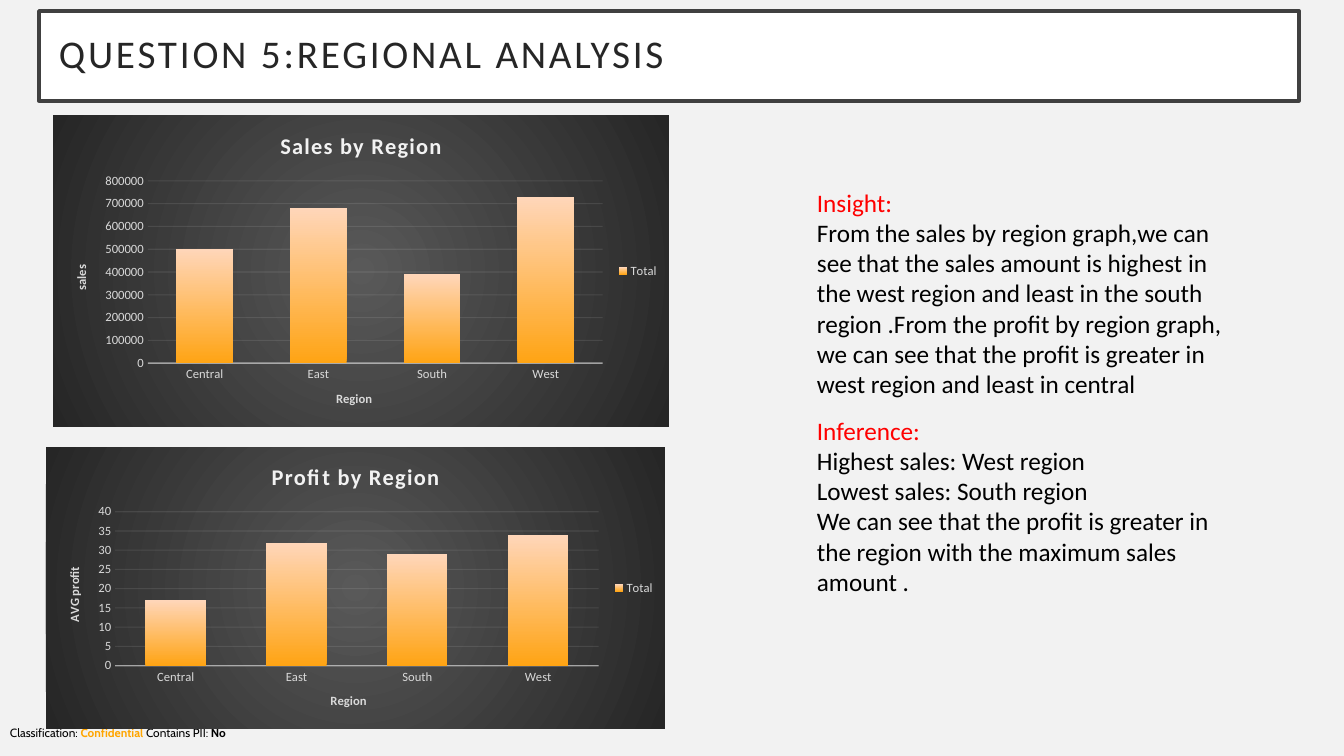
"""Build the regional analysis slide."""
from lxml.etree import SubElement
from pptx import Presentation
from pptx.chart.data import CategoryChartData
from pptx.dml.color import RGBColor
from pptx.enum.chart import XL_CHART_TYPE as ChartType
from pptx.enum.chart import XL_LEGEND_POSITION as LegendPosition
from pptx.enum.chart import XL_TICK_MARK as TickMark
from pptx.enum.shapes import MSO_SHAPE as Shape
from pptx.enum.text import MSO_ANCHOR as Anchor
from pptx.enum.text import MSO_AUTO_SIZE as AutoSize
from pptx.oxml import parse_xml
from pptx.oxml.ns import nsdecls, qn
from pptx.util import Emu, Pt

COLORS = {
    "page": "F2F2F2", "white": "FFFFFF", "frame": "404040", "title": "262626",
    "black": "000000", "red": "FF0000", "orange": "FFA500",
    "light": "F2F2F2", "label": "D9D9D9", "center": "595959", "edge": "262626",
    "bar_bottom": "FFA414", "bar_top": "FFD6B9",
}
REGIONS = ["Central", "East", "South", "West"]
INSIGHT = [
    "Insight:",
    "From the sales by region graph,we can see that the sales amount is highest in "
    "the west region and least in the south region .From the profit by region graph, "
    "we can see that the profit is greater in west region and least in central",
]
INFERENCE = [
    "Inference:",
    "Highest sales: West region",
    "Lowest sales: South region",
    "We can see that the profit is greater in the region with the maximum sales amount .",
]
CLASSIFICATION = [
    ("Classification: ", "black", False), ("Confidential", "orange", True),
    (" Contains PII: ", "black", False), ("No", "black", True),
]


def px(count):
    """Turn pixels into EMU."""
    return Emu(round(count * 914400 / 100.8))


def color(name):
    """Look up a named colour."""
    return RGBColor.from_string(COLORS[name])


def style(font, size, name, bold=False, face="Calibri"):
    """Set size, colour, weight and face of a font."""
    font.size, font.bold, font.name = Pt(size), bold, face
    font.color.rgb = color(name)


def space_letters(para, points):
    """Widen the letter spacing of a paragraph."""
    for span in para.runs:
        span.font.size = para.font.size
        span._r.get_or_add_rPr().set("spc", str(points * 100))


def add_text_box(page, bounds):
    """Add a wrapping text box and return its text frame."""
    frame = page.shapes.add_textbox(*map(px, bounds)).text_frame
    frame.word_wrap = True
    frame.auto_size = AutoSize.SHAPE_TO_FIT_TEXT
    return frame


def add_classification(page):
    """Add the classification line at the foot of the page."""
    para = add_text_box(page, (0, 721, 1344, 24)).paragraphs[0]
    for text, name, bold in CLASSIFICATION:
        span = para.add_run()
        span.text = text
        style(span.font, 8.5, name, bold, "Cabin")


def add_title(page, text):
    """Add the framed title bar."""
    bar = page.shapes.add_shape(Shape.RECTANGLE, *map(px, (39, 11, 1260, 90)))
    bar.shadow.inherit = False
    bar.fill.solid()
    bar.fill.fore_color.rgb = color("white")
    bar.line.color.rgb = color("frame")
    bar.line.width = Pt(2.5)
    frame = bar.text_frame
    frame.word_wrap = True
    frame.vertical_anchor = Anchor.MIDDLE
    frame.margin_left = frame.margin_right = px(20)
    frame.margin_top = frame.margin_bottom = px(20)
    para = frame.paragraphs[0]
    para.text = text
    para.alignment = 1
    para.line_spacing = 0.9
    style(para.font, 28, "title")
    space_letters(para, 2)


def add_notes(page, bounds, lines):
    """Add a red heading with black lines below it."""
    frame = add_text_box(page, bounds)
    for index, text in enumerate(lines):
        para = frame.add_paragraph() if index else frame.paragraphs[0]
        para.text = text
        style(para.font, 18, "black" if index else "red")


def set_title(owner, text, size, name):
    """Write the title of a chart or an axis."""
    para = (owner.chart_title if hasattr(owner, "chart_title") else owner.axis_title).text_frame.paragraphs[0]
    para.text = text
    style(para.font, size, name, True)
    return para


def fade(chart, query, percent):
    """Make the colours found by a query partly transparent."""
    for node in chart.element.xpath(query):
        SubElement(node, qn("a:alpha")).set("val", str(percent * 1000))


def fill_chart_area(chart):
    """Give the chart area a round dark gradient."""
    area = parse_xml(
        f'<c:spPr {nsdecls("c", "a")}><a:gradFill><a:gsLst>'
        f'<a:gs pos="0"><a:srgbClr val="{COLORS["center"]}"/></a:gs>'
        f'<a:gs pos="100000"><a:srgbClr val="{COLORS["edge"]}"/></a:gs></a:gsLst>'
        '<a:path path="circle"><a:fillToRect l="50000" t="50000" r="50000" b="50000"/></a:path>'
        '</a:gradFill><a:ln><a:noFill/></a:ln></c:spPr>')
    chart.element.find(qn("c:chart")).addnext(area)


def add_region_chart(page, bounds, title, value_title, values):
    """Add a column chart of one measure by region."""
    data = CategoryChartData()
    data.categories = REGIONS
    data.add_series("Total", values)
    chart = page.shapes.add_chart(ChartType.COLUMN_CLUSTERED, *map(px, bounds), data).chart
    style(chart.font, 10, "black")
    space_letters(set_title(chart, title, 16, "light"), 1)
    chart.chart_title.include_in_layout = False

    for axis, text in ((chart.category_axis, "Region"), (chart.value_axis, value_title)):
        set_title(axis, text, 9, "label")
        axis.major_tick_mark = axis.minor_tick_mark = TickMark.NONE
        style(axis.tick_labels.font, 9, "label")
    base_line = chart.category_axis.format.line
    base_line.color.rgb, base_line.width = color("light"), Pt(1)
    chart.value_axis.format.line.fill.background()
    grid_line = chart.value_axis.major_gridlines.format.line
    grid_line.color.rgb, grid_line.width = color("light"), Pt(0.75)
    fade(chart, ".//c:catAx/c:spPr//a:srgbClr", 54)
    fade(chart, ".//c:majorGridlines//a:srgbClr", 10)

    chart.has_legend = True
    chart.legend.position = LegendPosition.RIGHT
    chart.legend.include_in_layout = False
    style(chart.legend.font, 9, "label")

    plot = chart.plots[0]
    plot.gap_width, plot.overlap, plot.vary_by_categories = 100, -24, False
    fill = plot.series[0].format.fill
    fill.gradient()
    fill.gradient_angle = 90
    for stop, name in zip(fill.gradient_stops, ("bar_bottom", "bar_top")):
        stop.color.rgb = color(name)
    fill_chart_area(chart)


def main():
    """Build and save the deck."""
    deck = Presentation()
    deck.slide_width, deck.slide_height = px(1344), px(756)
    page = deck.slides.add_slide(deck.slide_layouts[6])
    page.background.fill.solid()
    page.background.fill.fore_color.rgb = color("page")
    add_classification(page)
    add_title(page, "QUESTION 5:REGIONAL ANALYSIS")
    add_notes(page, (807, 182, 435, 254), INSIGHT)
    add_notes(page, (807, 410, 435, 224), INFERENCE)
    add_region_chart(page, (53, 115, 616, 312), "Sales by Region", "sales",
                     (500000, 680000, 390000, 730000))
    add_region_chart(page, (46, 447, 619, 282), "Profit by Region", "AVG profit",
                     (17, 32, 29, 34))
    deck.save("out.pptx")


if __name__ == "__main__":
    main()
